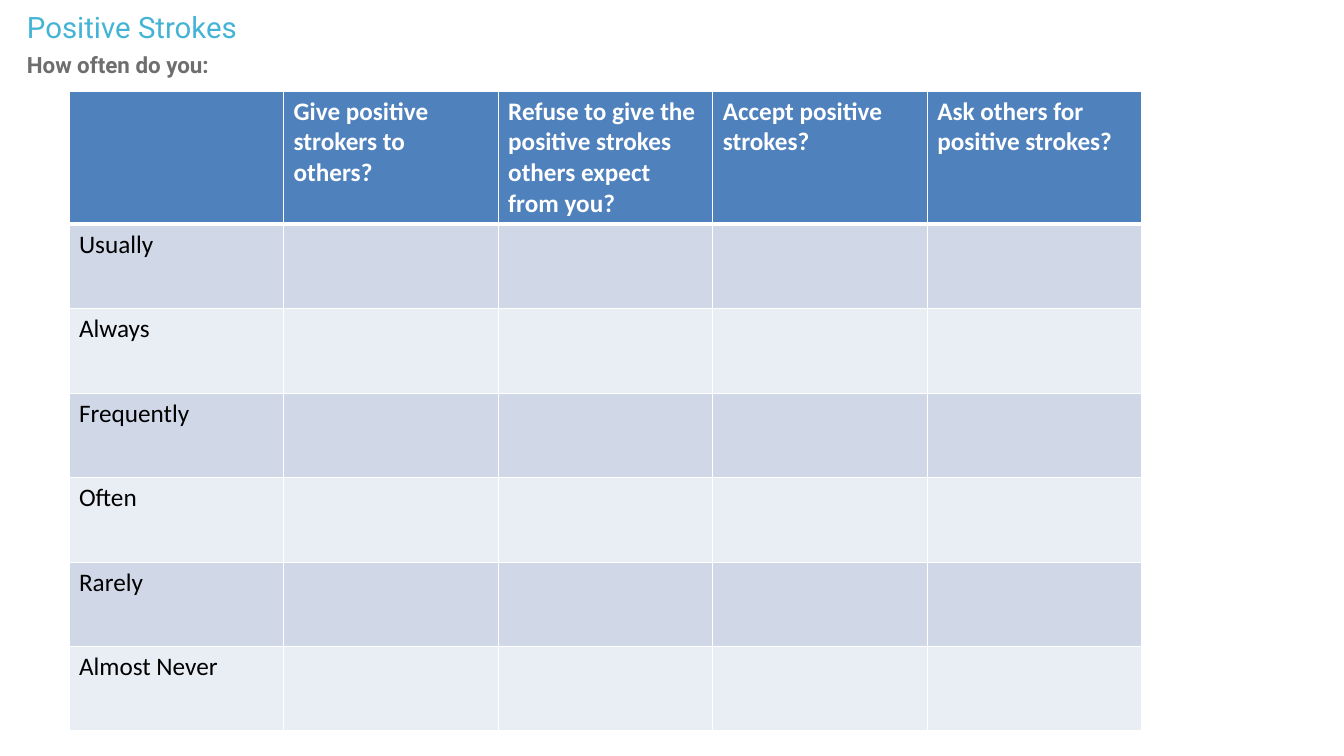
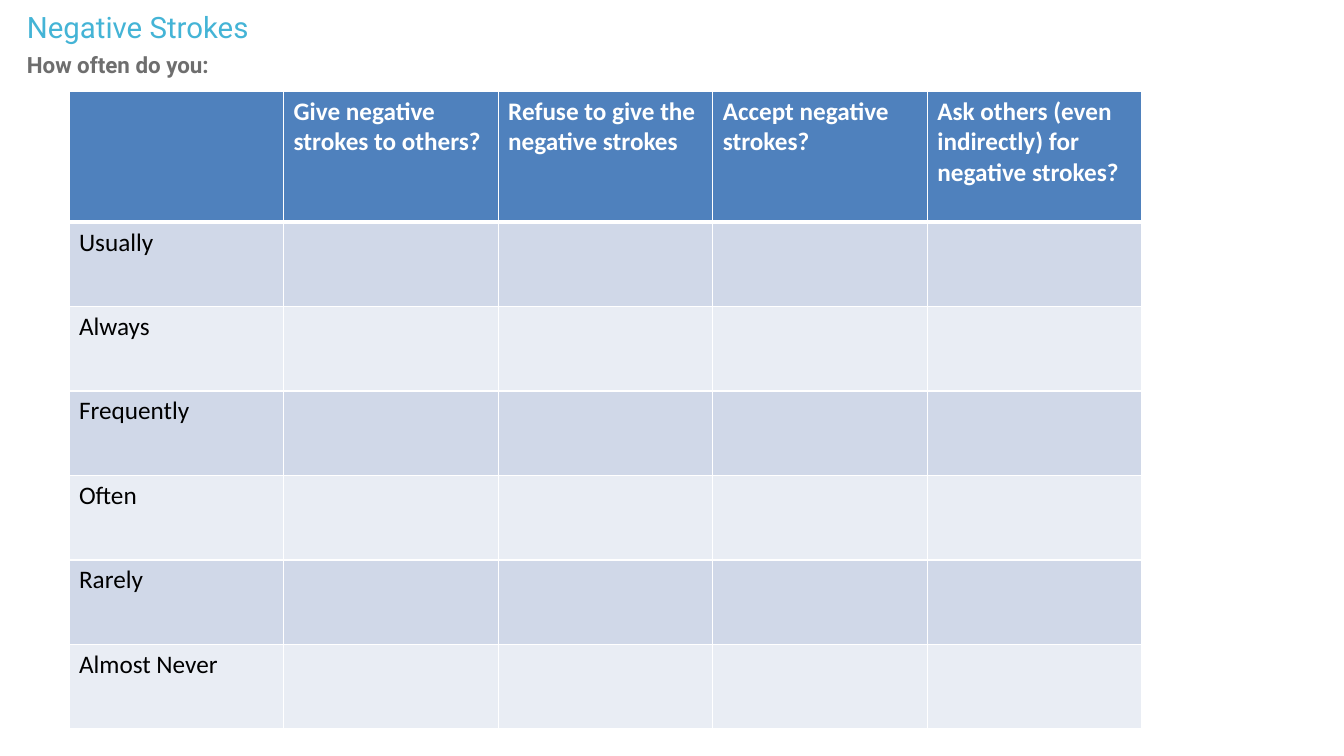
"""Build two slides that ask how often people exchange positive and negative strokes."""
from lxml.etree import SubElement
from pptx import Presentation
from pptx.dml.color import RGBColor
from pptx.enum.text import MSO_AUTO_SIZE as AutoSize, PP_ALIGN as Align
from pptx.oxml.ns import qn
from pptx.util import Emu, Pt

SCALE = 914400 / 100.8
WHITE = RGBColor(0xFF, 0xFF, 0xFF)
BLACK = RGBColor(0x00, 0x00, 0x00)
TITLE_BLUE = RGBColor(0x44, 0xB4, 0xD6)
PROMPT_GRAY = RGBColor(0x6E, 0x6E, 0x6E)
HEADER_BLUE = RGBColor(0x4F, 0x81, 0xBD)
BANDS = (RGBColor(0xD0, 0xD8, 0xE8), RGBColor(0xE9, 0xED, 0xF4))
HEADING_FONT = "Roboto"
TABLE_FONT = "Calibri"

FREQUENCIES = ("Usually", "Always", "Frequently", "Often", "Rarely", "Almost Never")
QUESTIONS = {
    "Positive Strokes": (
        "Give positive strokers to others?",
        "Refuse to give the positive strokes others expect from you?",
        "Accept positive strokes?",
        "Ask others for positive strokes?",
    ),
    "Negative Strokes": (
        "Give negative strokes to others?",
        "Refuse to give the negative strokes",
        "Accept negative strokes?",
        "Ask others (even indirectly) for negative strokes?",
    ),
}


def px(length):
    return Emu(round(length * SCALE))


class Worksheet:
    def __init__(self):
        self.deck = Presentation()
        self.deck.slide_width, self.deck.slide_height = px(1344), px(756)
        self.page = None

    def add_page(self):
        self.page = self.deck.slides.add_slide(self.deck.slide_layouts[6])

    def style(self, para, font, size, color, bold=False):
        para.font.name = font
        para.font.size = Pt(size)
        para.font.color.rgb = color
        para.font.bold = bold

    def heading(self, title, prompt):
        box = self.page.shapes.add_textbox(px(17), px(25), px(560), px(58))
        frame = box.text_frame
        frame.word_wrap = True
        frame.auto_size = AutoSize.SHAPE_TO_FIT_TEXT
        para = frame.paragraphs[0]
        para.text = title
        para.line_spacing = Pt(10)
        para.space_after = Pt(5)
        self.style(para, HEADING_FONT, 21, TITLE_BLUE)
        para = frame.add_paragraph()
        para.text = prompt
        para.alignment = Align.JUSTIFY
        para.space_after = Pt(7)
        self.style(para, HEADING_FONT, 16, PROMPT_GRAY, bold=True)

    def borders(self, cell, top, bottom):
        properties = cell._tc.get_or_add_tcPr()
        for side, width in (("L", 1), ("R", 1), ("T", top), ("B", bottom)):
            line = SubElement(properties, qn(f"a:ln{side}"), w=str(Pt(width)))
            fill = SubElement(line, qn("a:solidFill"))
            SubElement(fill, qn("a:srgbClr"), val=str(WHITE))

    def table(self, questions, labels):
        width, height, header_height = 1073, 638, 131
        columns = len(questions) + 1
        blanks = [""] * len(questions)
        rows = [["", *questions]] + [[label, *blanks] for label in labels]
        frame = self.page.shapes.add_table(
            len(rows), columns, px(69), px(91), px(width), px(height))
        table = frame.table
        for column in table.columns:
            column.width = px(width / columns)
        for index, texts in enumerate(rows):
            header = index == 0
            table.rows[index].height = px(
                header_height if header else (height - header_height) / len(labels))
            for cell, text in zip(table.rows[index].cells, texts):
                self.borders(cell, 3 if index == 1 else 1, 3 if header else 1)
                cell.fill.solid()
                cell.fill.fore_color.rgb = HEADER_BLUE if header else BANDS[(index - 1) % 2]
                cell.text = text
                self.style(cell.text_frame.paragraphs[0], TABLE_FONT, 18,
                           WHITE if header else BLACK, bold=header)


def main():
    sheet = Worksheet()
    for title, questions in QUESTIONS.items():
        sheet.add_page()
        sheet.table(questions, FREQUENCIES)
        sheet.heading(title, "How often do you:")
    sheet.deck.save("out.pptx")


if __name__ == "__main__":
    main()
